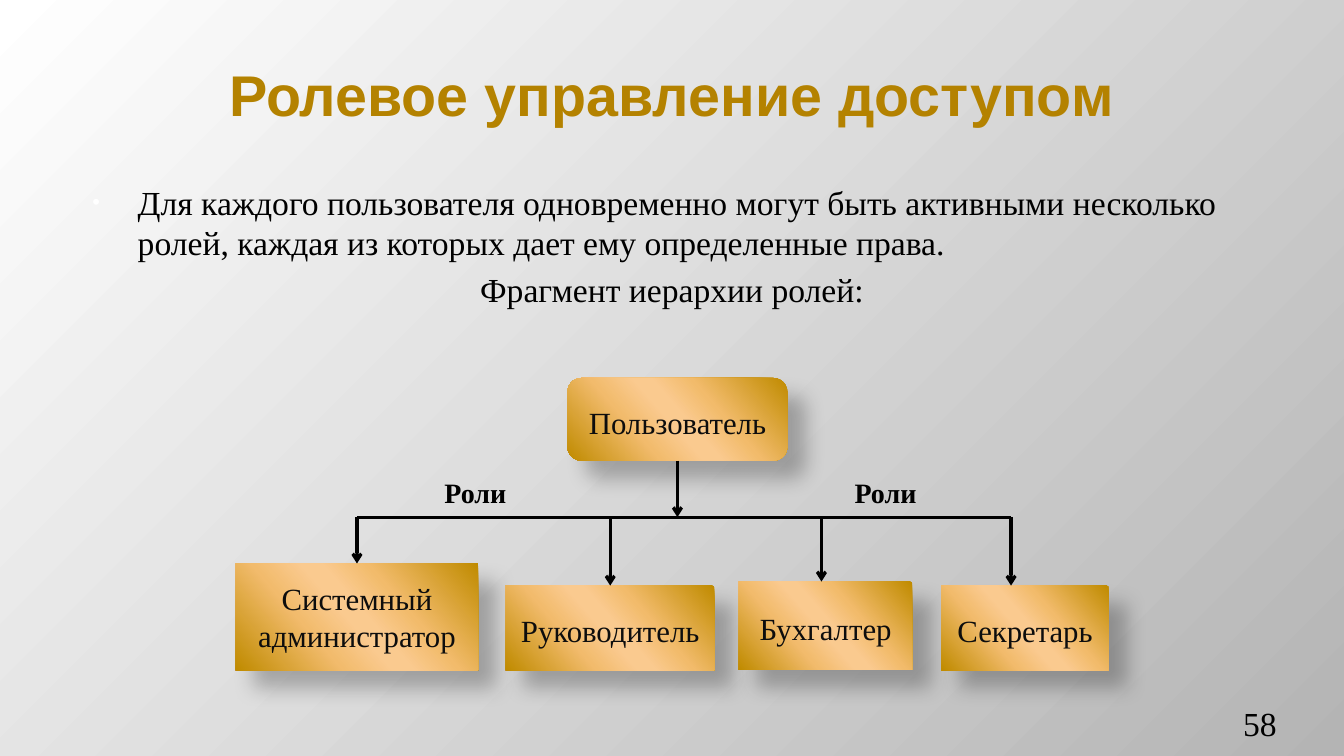
import dataclasses

import lxml.etree
import pptx
import pptx.dml.color
import pptx.enum.shapes
import pptx.enum.text
import pptx.oxml
import pptx.oxml.ns
import pptx.util

Pt = pptx.util.Pt
Shape = pptx.enum.shapes.MSO_SHAPE
Align = pptx.enum.text.PP_ALIGN
Anchor = pptx.enum.text.MSO_ANCHOR


@dataclasses.dataclass(frozen=True)
class Theme:
    heading_font: str = "Arial"
    body_font: str = "Times New Roman"
    title_color: str = "B48200"
    text_color: str = "000000"
    box_text_color: str = "0D0D0D"
    bullet_color: str = "FFFFFF"
    title_size: int = 41
    body_size: int = 24
    box_size: int = 22
    label_size: int = 20
    line_width: float = 2.25
    background: tuple = ((0, "FFFFFF"), (100, "B4B4B4"))
    gold: tuple = ((0, "C08B00"), (33, "F2BB6B"), (47, "FACA8F"),
                   (53, "FACA8F"), (68, "F2BB6C"), (100, "C08B00"))


def drawing(markup):
    namespace = pptx.oxml.ns.nsdecls("a")
    return pptx.oxml.parse_xml(markup.replace(" ", f" {namespace} ", 1))


def gradient(stops, direction):
    marks = "".join(
        f'<a:gs pos="{position * 1000}"><a:srgbClr val="{color}"/></a:gs>'
        for position, color in stops)
    return drawing(f'<a:gradFill rotWithShape="1"><a:gsLst>{marks}</a:gsLst>'
                   f'{direction}</a:gradFill>')


def swap_fill(element, fill):
    solid = element.xpath(".//a:solidFill")[0]
    solid.getparent().replace(solid, fill)


class RoleSlide:
    def __init__(self, deck, theme):
        self.theme = theme
        self.slide = deck.slides.add_slide(deck.slide_layouts[1])

    def background(self):
        self.slide.background.fill.solid()
        corner = ('<a:path path="circle"><a:fillToRect r="100000" b="100000"/>'
                  '</a:path>')
        swap_fill(self.slide.element.xpath("./p:cSld/p:bg")[0],
                  gradient(self.theme.background, corner))

    def frame(self, shape, **formats):
        frame = shape.text_frame
        values = {"word_wrap": True,
                  "auto_size": pptx.enum.text.MSO_AUTO_SIZE.NONE,
                  "vertical_anchor": Anchor.TOP, **formats}
        for name, value in values.items():
            setattr(frame, name, value)
        return frame

    def fill_para(self, para, text, size, color=None, font=None, bold=False, **formats):
        for name, value in formats.items():
            setattr(para, name, value)
        span = para.add_run()
        span.text = text
        values = {"name": font or self.theme.body_font, "size": Pt(size), "bold": bold}
        for name, value in values.items():
            setattr(span.font, name, value)
        span.font.color.rgb = pptx.dml.color.RGBColor.from_string(
            color or self.theme.text_color)

    def place(self, shape, left, top, width, height):
        values = {"left": left, "top": top, "width": width, "height": height}
        for name, value in values.items():
            setattr(shape, name, Pt(value))

    def title(self, text, *bounds):
        shape = self.slide.shapes.title
        self.place(shape, *bounds)
        frame = self.frame(shape, vertical_anchor=Anchor.MIDDLE)
        self.fill_para(frame.paragraphs[0], text, self.theme.title_size,
                       self.theme.title_color, self.theme.heading_font, True,
                       alignment=Align.CENTER)

    def indent(self, para, margin, hanging, *bullets):
        properties = para._p.get_or_add_pPr()
        properties.set("marL", str(Pt(margin)))
        properties.set("indent", str(-Pt(hanging)))
        for markup in bullets:
            properties.append(drawing(markup))

    def body(self, statement, caption, *bounds):
        shape = self.slide.placeholders[1]
        self.place(shape, *bounds)
        frame = self.frame(shape)
        first = frame.paragraphs[0]
        self.indent(first, 43.2, 32.4,
                    f'<a:buClr ><a:srgbClr val="{self.theme.bullet_color}"/></a:buClr>',
                    '<a:buSzPct val="65000"/>', '<a:buChar char="•"/>')
        self.fill_para(first, statement, self.theme.body_size, space_before=Pt(0))
        second = frame.add_paragraph()
        self.indent(second, 10.8, 10.8, '<a:buNone />')
        self.fill_para(second, caption, self.theme.body_size,
                       alignment=Align.CENTER, space_before=Pt(4.8))

    def label(self, text, bounds, size, bold=False, frame_formats=None, **formats):
        box = self.slide.shapes.add_textbox(*map(Pt, bounds))
        frame = self.frame(box, **(frame_formats or {}))
        self.fill_para(frame.paragraphs[0], text, size, bold=bold, **formats)

    def box(self, text, bounds, kind=Shape.RECTANGLE, spacing=1.15):
        box = self.slide.shapes.add_shape(kind, *map(Pt, bounds))
        box.fill.solid()
        swap_fill(box.element.spPr,
                  gradient(self.theme.gold, '<a:lin ang="8340000" scaled="0"/>'))
        box.line.fill.background()
        box.shadow.inherit = False
        box.element.xpath("./p:spPr/a:effectLst")[0].append(drawing(
            f'<a:outerShdw blurRad="{Pt(15)}" dist="{Pt(18)}" dir="2700000" '
            'algn="tl" rotWithShape="0"><a:srgbClr val="000000">'
            '<a:alpha val="26000"/></a:srgbClr></a:outerShdw>'))
        frame = self.frame(box, vertical_anchor=Anchor.MIDDLE)
        self.fill_para(frame.paragraphs[0], text, self.theme.box_size,
                       self.theme.box_text_color, alignment=Align.CENTER,
                       line_spacing=spacing)
        return box

    def line(self, start, end, arrow=True):
        line = self.slide.shapes.add_connector(
            pptx.enum.shapes.MSO_CONNECTOR.STRAIGHT, *map(Pt, (*start, *end)))
        line.line.width = Pt(self.theme.line_width)
        line.line.color.rgb = pptx.dml.color.RGBColor.from_string(self.theme.text_color)
        properties = line.element.spPr
        if arrow:
            properties.xpath("./a:ln")[0].append(drawing('<a:tailEnd type="arrow"/>'))
        lxml.etree.SubElement(properties, pptx.oxml.ns.qn("a:effectLst"))
        return line


def main():
    deck = pptx.Presentation()
    deck.slide_width, deck.slide_height = Pt(960), Pt(540)
    theme = Theme()
    page = RoleSlide(deck, theme)
    page.background()
    page.title("Ролевое управление доступом", 48, 21.6, 864, 90)
    page.body("Для каждого пользователя одновременно могут быть активными несколько "
              "ролей, каждая из которых дает ему определенные права.",
              "Фрагмент иерархии ролей:", 48, 126, 864, 370.8)
    page.label("58", (832, 505.4, 80, 28.8), theme.body_size, alignment=Align.RIGHT,
               frame_formats={"vertical_anchor": Anchor.BOTTOM,
                              "margin_left": 0, "margin_right": 0})

    branch_y, roles_bottom = 369.4, 478.6
    user = page.box("Пользователь", (405.4, 270, 157, 59), Shape.ROUNDED_RECTANGLE)
    user_line = page.line((483.9, 329), (483.9, branch_y))
    user_line.begin_connect(user, 2)

    roles = (("Системный администратор", 168.5, 402.5, 173, 255, 1.0),
             ("Руководитель", 361.4, 418.3, 149, 435.9, 1.15),
             ("Бухгалтер", 527.8, 415.4, 123.8, 586.8, 1.15),
             ("Секретарь", 672.5, 418.3, 119.5, 722.2, 1.15))
    for name, left, top, width, arrow_x, spacing in roles:
        role = page.box(name, (left, top, width, roles_bottom - top), spacing=spacing)
        arrow = page.line((arrow_x, branch_y), (arrow_x, top))
        if abs(left + width / 2 - arrow_x) < 1:
            arrow.end_connect(role, 0)
    page.line((roles[0][4], branch_y), (roles[-1][4], branch_y), arrow=False)

    for left in (304, 597):
        page.label("Роли", (left, 332.5, 71, 40), theme.label_size, True,
                   alignment=Align.CENTER, line_spacing=1.15)
    deck.save("out.pptx")


if __name__ == "__main__":
    main()
